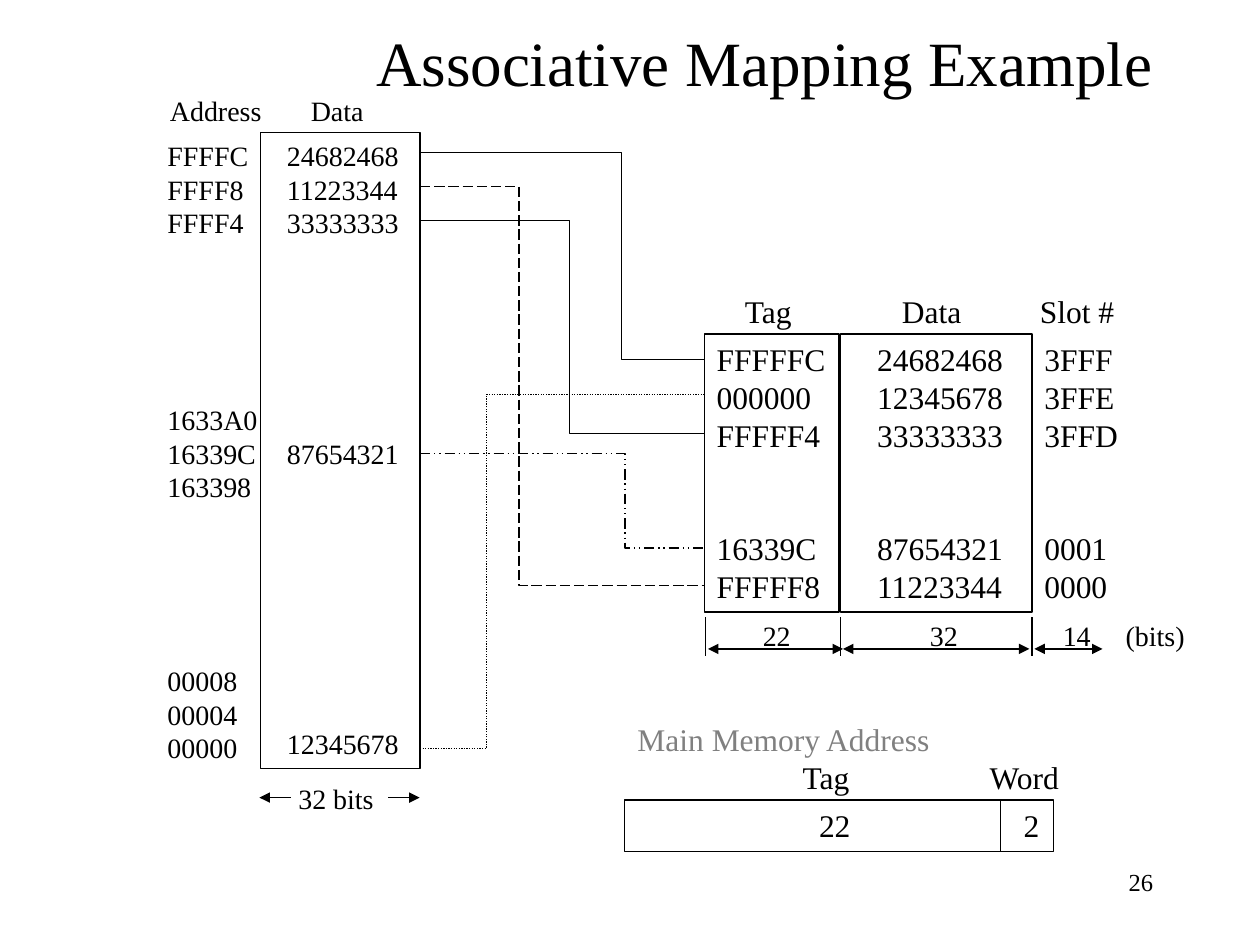
from lxml import etree
from pptx import Presentation
from pptx.dml.color import RGBColor
from pptx.enum import dml, shapes, text
from pptx.oxml.ns import qn
from pptx.util import Pt

FONT, BLACK, GRAY = "Times New Roman", "000000", "808080"
INSET_X, INSET_Y = 7.2, 3.6
DASH = dml.MSO_LINE

TITLE = "Associative Mapping Example"

# Columns: left, top, width, height, left inset, size, framed, lines as (text, gap before)
COLUMNS = [
    (88.6, 75.6, 72, 366, INSET_X, 16, False,
     [("FFFFC", 0), ("FFFF8", 0), ("FFFF4", 0),
      ("1633A0", 93.4), ("16339C", 0), ("163398", 0),
      ("00008", 91.6), ("00004", 0), ("00000", 0)]),
    (149, 75.6, 91, 363.6, 15, 16, True,
     [("24682468", 0), ("11223344", 0), ("33333333", 0),
      ("87654321", 112.8), ("12345678", 146.4)]),
    (402.5, 190.8, 77, 159, INSET_X, 18, True,
     [("FFFFFC", 0), ("000000", 0), ("FFFFF4", 0), ("16339C", 43.2), ("FFFFF8", 0)]),
    (480.2, 190.8, 109.5, 159, 21, 18, True,
     [("24682468", 0), ("12345678", 0), ("33333333", 0),
      ("87654321", 43.2), ("11223344", 0)]),
    (589.7, 190.8, 58, 159, INSET_X, 18, False,
     [("3FFF", 0), ("3FFE", 0), ("3FFD", 0), ("0001", 43.2), ("0000", 0)]),
    (357, 457.2, 245, 29.5, 111, 18, True, [("22", 0)]),
]

# Label rows: top, size, colour, (text, text left edge) pairs
LABEL_ROWS = [
    (49.7, 16, BLACK, [("Address", 97.2), ("Data", 177.7)]),
    (163.4, 18, BLACK, [("Tag", 425.7), ("Data", 515.5), ("Slot #", 594.3)]),
    (350, 16, BLACK, [("22", 436), ("32", 531.5), ("14", 607.4), ("(bits)", 643.4)]),
    (442.8, 16, BLACK, [("32 bits", 170.6)]),
    (408.2, 18, GRAY, [("Main Memory Address", 364.4)]),
    (429.8, 18, BLACK, [("Tag", 458.8), ("Word", 565.7)]),
    (457.2, 18, BLACK, [("2", 585)]),
]

# Routes from memory to cache: start y, turn x, end y, line width, dash
MEMORY_EDGE, CACHE_EDGE = 240, 402
ROUTES = [
    (87.1, 355, 205.2, 0.25, None),
    (427.7, 277.9, 225.4, 0.75, DASH.ROUND_DOT),
    (106.6, 296.6, 334.8, 0.75, DASH.LONG_DASH),
    (259.2, 357.1, 313.2, 0.75, DASH.DASH_DOT_DOT),
    (126, 325.4, 247.7, 0.75, None),
]

# Horizontal arrows: y, from x, to x, arrowheads
ARROWS = [
    (455.8, 166.3, 148.3, ["tailEnd"]),
    (455.8, 221.8, 239.8, ["tailEnd"]),
    (370.8, 404.6, 481.7, ["headEnd", "tailEnd"]),
    (370.8, 481.7, 588.2, ["headEnd", "tailEnd"]),
    (370.8, 591.1, 630, ["headEnd", "tailEnd"]),
]
# Vertical rules: x, top, bottom
RULES = [(x, 352.8, 375.1) for x in (403.2, 480.2, 589.7)] + [(571.7, 457.2, 487)]


def rgb(value):
    """Turn a hex string into a colour."""
    return RGBColor.from_string(value)


def add_text(para, words, size, color=BLACK):
    """Add one formatted run to a paragraph."""
    span = para.add_run()
    span.text = words
    span.font.name, span.font.size = FONT, Pt(size)
    span.font.color.rgb = rgb(color)


def fill_frame(frame, lines, size, color=BLACK, left=INSET_X, align=text.PP_ALIGN.LEFT):
    """Write lines from the top of a frame, with their gaps."""
    frame.word_wrap = True
    frame.vertical_anchor = text.MSO_ANCHOR.TOP
    frame.margin_left, frame.margin_right = Pt(left), Pt(INSET_X)
    frame.margin_top = frame.margin_bottom = Pt(INSET_Y)
    for i, (words, gap) in enumerate(lines):
        para = frame.add_paragraph() if i else frame.paragraphs[0]
        para.alignment = align
        para.line_spacing, para.space_before = Pt(size * 1.2), Pt(gap)
        add_text(para, words, size, color)


def style_outline(shape, width=0.75, dash=None):
    """Leave a shape unfilled, with a plain black outline."""
    shape.shadow.inherit = False
    shape.fill.background()
    shape.line.color.rgb, shape.line.width = rgb(BLACK), Pt(width)
    if dash:
        shape.line.dash_style = dash


def add_line(page, x1, y1, x2, y2, heads=()):
    """Draw a straight line with optional arrowheads."""
    line = page.shapes.add_connector(
        shapes.MSO_CONNECTOR.STRAIGHT, Pt(x1), Pt(y1), Pt(x2), Pt(y2))
    line.line.color.rgb, line.line.width = rgb(BLACK), Pt(0.75)
    outline = line._element.spPr.find(qn("a:ln"))
    for head in heads:
        etree.SubElement(outline, qn("a:" + head), type="triangle")
    etree.SubElement(line._element.spPr, qn("a:effectLst"))


def add_column(page, left, top, width, height, inset, size, framed, lines):
    """Add a column of values, framed or open."""
    place = [Pt(v) for v in (left, top, width, height)]
    if framed:
        box = page.shapes.add_shape(shapes.MSO_SHAPE.RECTANGLE, *place)
        style_outline(box)
    else:
        box = page.shapes.add_textbox(*place)
    fill_frame(box.text_frame, lines, size, left=inset)


def add_route(page, start_y, turn_x, end_y, width, dash):
    """Draw a stepped line from a memory word to its cache slot."""
    builder = page.shapes.build_freeform(Pt(MEMORY_EDGE), Pt(start_y))
    corners = [(turn_x, start_y), (turn_x, end_y), (CACHE_EDGE, end_y)]
    builder.add_line_segments([(Pt(x), Pt(y)) for x, y in corners], close=False)
    style_outline(builder.convert_to_shape(), width, dash)


deck = Presentation()
deck.slide_width, deck.slide_height = Pt(720), Pt(540)
page = deck.slides.add_slide(deck.slide_layouts[5])

title = page.shapes.title
title.left, title.top, title.width, title.height = Pt(54), Pt(0), Pt(612), Pt(70.6)
title.text_frame.vertical_anchor = text.MSO_ANCHOR.MIDDLE
title_para = title.text_frame.paragraphs[0]
title_para.alignment = text.PP_ALIGN.RIGHT
add_text(title_para, TITLE, 36)

for column in COLUMNS:
    add_column(page, *column)
for top, size, color, labels in LABEL_ROWS:
    for words, x in labels:
        width = len(words) * size * 0.6 + 2 * INSET_X
        box = page.shapes.add_textbox(Pt(x - INSET_X), Pt(top), Pt(width), Pt(size * 1.2 + 7.2))
        fill_frame(box.text_frame, [(words, 0)], size, color)
for route in ROUTES:
    add_route(page, *route)
for y, x1, x2, heads in ARROWS:
    add_line(page, x1, y, x2, y, heads)
for x, y1, y2 in RULES:
    add_line(page, x, y1, x, y2)

number = page.shapes.add_textbox(Pt(516), Pt(492), Pt(150), Pt(36))
fill_frame(number.text_frame, [("26", 0)], 14, align=text.PP_ALIGN.RIGHT)

deck.save("out.pptx")
